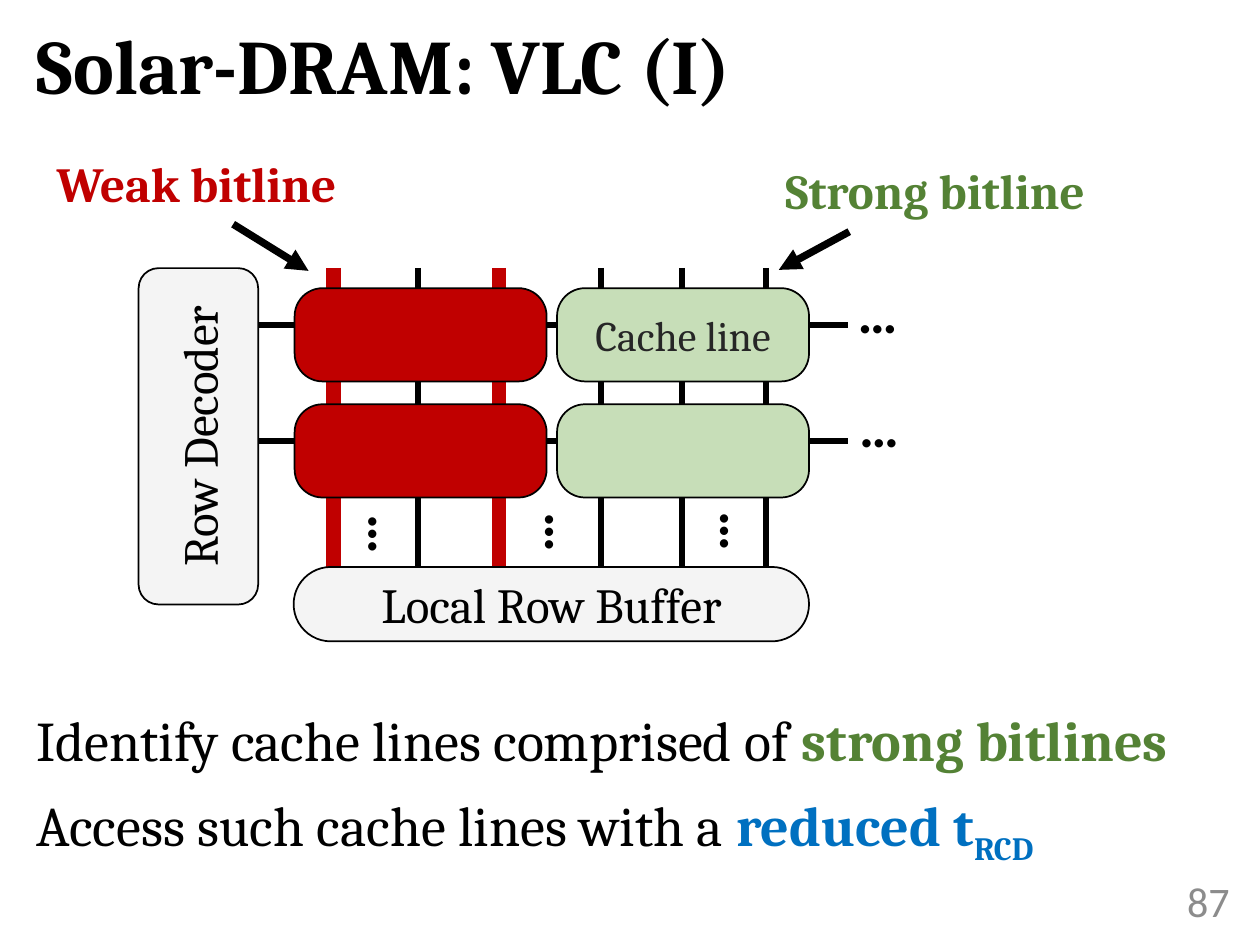
"""Builds the Solar-DRAM VLC slide: a DRAM subarray with weak and strong bitlines."""
from lxml import etree
from pptx import Presentation
from pptx.dml.color import RGBColor
from pptx.enum import shapes as kinds, text as txt
from pptx.oxml.ns import qn
from pptx.util import Cm, Pt

THEME = {
    "serif": "Cambria", "sans": "Calibri",
    "black": "000000", "weak": "C00000", "strong": "548235", "accent": "0070C0",
    "cell": "C7DEB8", "block": "F4F4F4", "ink": "262626", "grey": "8C8C8C",
    "title": 44, "body": 32, "label": 28, "small": 24,
    "outline": 1, "wire": 3.5, "weak wire": 8.5, "arrow": 4.25,
}

TITLE = "Solar-DRAM: VLC (I)"
PAGE = "87"
BODY = [
    [("Identify cache lines comprised of ", "black"), ("strong bitlines", "strong")],
    [("Access such cache lines with a ", "black"), ("reduced t", "accent"), ("RCD", "accent")],
]
SUBSCRIPT = "RCD"
BITLINES = [(6.73, "weak"), (8.43, "black"), (10.06, "weak"),
            (12.12, "black"), (13.74, "black"), (15.44, "black")]
CELL_COLUMNS = [(5.94, "weak", ["", ""]), (11.23, "cell", ["Cache line", ""])]
ROW_CENTERS = [6.55, 8.89]
CELL_SIZE = (5.08, 1.88)
CELL_DROP = 0.2
BLOCKS = [("Row Decoder", (0.61, 7.59, 6.78, 2.41), 270, 0.1667),
          ("Local Row Buffer", (5.92, 11.43, 10.39, 1.5), 0, 0.5)]
ELLIPSES = [(7.21, 9.96, 90), (10.77, 9.93, 90), (14.3, 9.91, 90),
            (17.04, 5.46, 0), (17.07, 7.77, 0)]
CALLOUTS = [("Weak bitline", "weak", (0.81, 2.97, 6.3, 1.45), (4.7, 4.52, 6.22, 5.46)),
            ("Strong bitline", "strong", (15.47, 3.12, 6.76, 1.45), (17.12, 4.67, 15.7, 5.44))]


def color(name):
    return RGBColor.from_string(THEME[name])


def style(run, size, tone="black", bold=False, face="serif"):
    run.font.name = THEME[face]
    run.font.size = Pt(THEME[size])
    run.font.bold = bold
    run.font.color.rgb = color(tone)


def add_wire(slide, ends, tone="black", weight="wire", arrow=False):
    wire = slide.shapes.add_connector(kinds.MSO_CONNECTOR.STRAIGHT, *map(Cm, ends))
    wire.line.color.rgb = color(tone)
    wire.line.width = Pt(THEME[weight])
    if arrow:
        etree.SubElement(wire.line._get_or_add_ln(), qn("a:tailEnd"), type="triangle")
    etree.SubElement(wire._element.spPr, qn("a:effectLst"))


def add_block(slide, place, fill, label, size, tone, corner, rotation=0):
    block = slide.shapes.add_shape(kinds.MSO_SHAPE.ROUNDED_RECTANGLE, *map(Cm, place))
    block.adjustments[0] = corner
    block.rotation = rotation
    block.shadow.inherit = False
    block.fill.solid()
    block.fill.fore_color.rgb = color(fill)
    block.line.color.rgb = color("black")
    block.line.width = Pt(THEME["outline"])
    if label:
        block.text_frame.text = label
        block.text_frame.vertical_anchor = txt.MSO_ANCHOR.MIDDLE
        paragraph = block.text_frame.paragraphs[0]
        paragraph.alignment = txt.PP_ALIGN.CENTER
        style(paragraph.runs[0], size, tone)


def add_label(slide, place, words, size, tone="black", bold=True, face="serif",
              align=txt.PP_ALIGN.LEFT, rotation=0):
    label = slide.shapes.add_textbox(*map(Cm, place))
    label.rotation = rotation
    frame = label.text_frame
    frame.text = words
    frame.word_wrap = False
    frame.auto_size = txt.MSO_AUTO_SIZE.SHAPE_TO_FIT_TEXT
    frame.paragraphs[0].alignment = align
    style(frame.paragraphs[0].runs[0], size, tone, bold, face)
    return frame


def add_title(slide):
    title = slide.shapes.title
    title.left, title.top, title.width, title.height = map(Cm, (0.48, 0.38, 24.18, 2.06))
    frame = title.text_frame
    frame.text = TITLE
    frame.auto_size = txt.MSO_AUTO_SIZE.NONE
    frame.vertical_anchor = txt.MSO_ANCHOR.MIDDLE
    frame.paragraphs[0].alignment = txt.PP_ALIGN.LEFT
    frame.paragraphs[0].line_spacing = 0.9
    style(frame.paragraphs[0].runs[0], "title", bold=True)


def add_subarray(slide):
    for y in ROW_CENTERS:
        add_wire(slide, (5.21, y, 17.09, y))
    for x, tone in BITLINES:
        add_wire(slide, (x, 5.4, x, 12.17), tone, "weak wire" if tone == "weak" else "wire")
    width, height = CELL_SIZE
    for x, fill, names in CELL_COLUMNS:
        for y, name in zip(ROW_CENTERS, names):
            place = (x, y - height / 2 + CELL_DROP, width, height)
            add_block(slide, place, fill, name, "small", "ink", 0.3)
    for name, place, rotation, corner in BLOCKS:
        add_block(slide, place, "block", name, "label", "black", corner, rotation)
    for x, y, rotation in ELLIPSES:
        add_label(slide, (x, y, 1.32, 1.63), "…", "body", face="sans", rotation=rotation)
    for name, tone, place, ends in CALLOUTS:
        add_label(slide, place, name, "label", tone, align=txt.PP_ALIGN.CENTER)
        add_wire(slide, ends, weight="arrow", arrow=True)


def add_body(slide):
    frame = slide.shapes.add_textbox(*map(Cm, (0.48, 14.25, 24.18, 4.8))).text_frame
    frame.word_wrap = True
    for index, parts in enumerate(BODY):
        paragraph = frame.add_paragraph() if index else frame.paragraphs[0]
        paragraph.line_spacing = 0.9
        paragraph.space_before = Pt(10 if index else 0)
        for words, tone in parts:
            run = paragraph.add_run()
            run.text = words
            style(run, "body", tone, bold=tone != "black")
            if words == SUBSCRIPT:
                run.font._element.set("baseline", "-25000")


def add_page_number(slide):
    frame = add_label(slide, (17.93, 17.65, 7.11, 1.02), PAGE, "small", "grey",
                      bold=False, face="sans", align=txt.PP_ALIGN.RIGHT)
    frame.word_wrap = True
    frame.auto_size = txt.MSO_AUTO_SIZE.NONE
    frame.vertical_anchor = txt.MSO_ANCHOR.MIDDLE


def main():
    deck = Presentation()
    deck.slide_width, deck.slide_height = Cm(25.4), Cm(19.05)
    slide = deck.slides.add_slide(deck.slide_layouts[5])
    add_title(slide)
    add_subarray(slide)
    add_body(slide)
    add_page_number(slide)
    deck.save("out.pptx")


if __name__ == "__main__":
    main()
